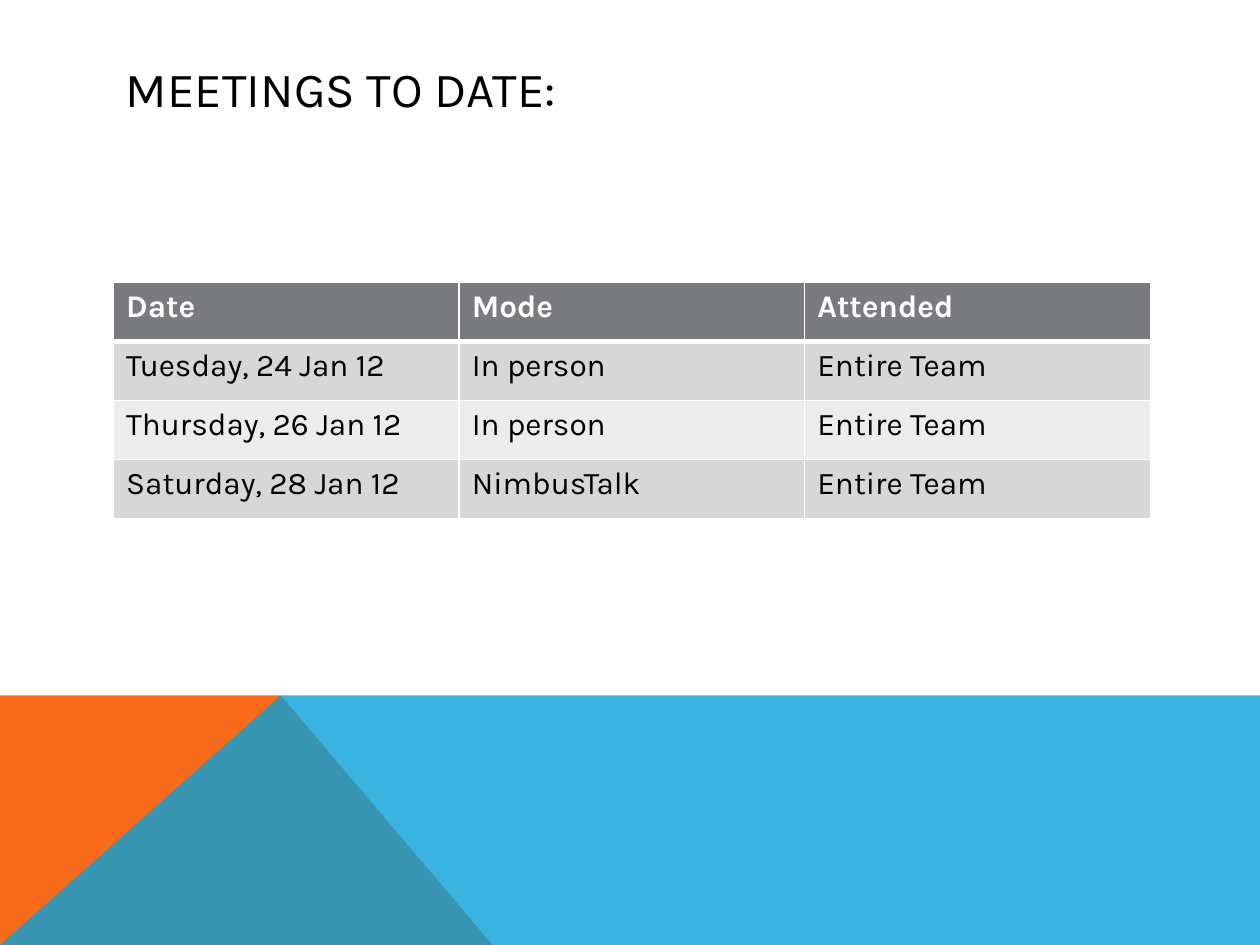
from lxml import etree
from pptx import Presentation
from pptx.dml.color import RGBColor
from pptx.enum.text import MSO_ANCHOR
from pptx.oxml.ns import qn
from pptx.util import Cm, Pt

FONT = "Karla"
COLORS = {
    "text": "000000",
    "white": "FFFFFF",
    "header": "797B7E",
    "band_dark": "D7D7D8",
    "band_light": "ECECEC",
    "orange": "F96A1B",
    "blue": "08A1D9",
}
MEETINGS = [
    ("Date", "Mode", "Attended"),
    ("Tuesday, 24 Jan 12", "In person", "Entire Team"),
    ("Thursday, 26 Jan 12", "In person", "Entire Team"),
    ("Saturday, 28 Jan 12", "NimbusTalk", "Entire Team"),
]


def color(name):
    """Return the named colour."""
    return RGBColor.from_string(COLORS[name])


def set_font(paragraph, size, color_name, bold=False):
    """Style a whole paragraph."""
    font = paragraph.font
    font.name, font.size, font.bold = FONT, Pt(size), bold
    font.color.rgb = color(color_name)


def add_polygon(slide, points, color_name, opacity=100):
    """Draw a filled outline without a border through the points."""
    builder = slide.shapes.build_freeform(*points[0], scale=1.0)
    builder.add_line_segments(points[1:], close=True)
    polygon = builder.convert_to_shape()
    polygon.shadow.inherit = False
    polygon.line.fill.background()
    polygon.fill.solid()
    polygon.fill.fore_color.rgb = color(color_name)
    if opacity < 100:
        tint = polygon.fill._xPr.find(".//" + qn("a:srgbClr"))
        etree.SubElement(tint, qn("a:alpha"), val=str(opacity * 1000))


def add_footer_band(slide, left, top, width, height):
    """Draw an orange wedge under a translucent blue band, sharing one peak."""
    right, bottom = left + width, top + height
    peak = (left + Cm(5.66), top)
    corner = (left, bottom)
    add_polygon(slide, [corner, (left, top), peak, (left + Cm(9.93), bottom)], "orange")
    add_polygon(slide, [corner, peak, (right, top), (right, bottom)], "blue", 80)


def add_title(slide, text, left, top, width, height):
    """Place the slide title, centred vertically in its box."""
    frame = slide.shapes.add_textbox(left, top, width, height).text_frame
    frame.word_wrap = True
    frame.vertical_anchor = MSO_ANCHOR.MIDDLE
    frame.text = text
    set_font(frame.paragraphs[0], 28, "text")


def set_borders(cell, widths):
    """Give a cell white borders, with widths in points by side."""
    properties = cell._tc.get_or_add_tcPr()
    for index, (side, width) in enumerate(widths.items()):
        line = etree.Element(qn(f"a:ln{side}"), w=str(Pt(width)))
        fill = etree.SubElement(line, qn("a:solidFill"))
        etree.SubElement(fill, qn("a:srgbClr"), val=COLORS["white"])
        properties.insert(index, line)


def add_meetings_table(slide, left, top, width, height):
    """Fill the box with equal rows and columns of meetings."""
    row_count, column_count = len(MEETINGS), len(MEETINGS[0])
    table = slide.shapes.add_table(
        row_count, column_count, left, top, width, height
    ).table
    for row, values in enumerate(MEETINGS):
        is_header = row == 0
        band = "header" if is_header else "band_dark" if row % 2 else "band_light"
        borders = {"L": 1, "R": 1, "T": 3 if row == 1 else 1, "B": 3 if is_header else 1}
        for column, value in enumerate(values):
            cell = table.cell(row, column)
            cell.text = value
            set_font(cell.text_frame.paragraphs[0], 18,
                     "white" if is_header else "text", is_header)
            cell.fill.solid()
            cell.fill.fore_color.rgb = color(band)
            set_borders(cell, borders)


def main():
    """Build and save the slide."""
    presentation = Presentation()
    presentation.slide_width, presentation.slide_height = Cm(25.4), Cm(19.05)
    slide = presentation.slides.add_slide(presentation.slide_layouts[6])
    background = slide.background.fill
    background.solid()
    background.fore_color.rgb = color("white")
    add_footer_band(slide, Cm(0), Cm(14.02), Cm(25.4), Cm(5.03))
    add_title(slide, "MEETINGS TO DATE:", Cm(2.29), Cm(1.02), Cm(20.88), Cm(1.52))
    add_meetings_table(slide, Cm(2.29), Cm(5.69), Cm(20.9), Cm(4.76))
    presentation.save("out.pptx")


main()
